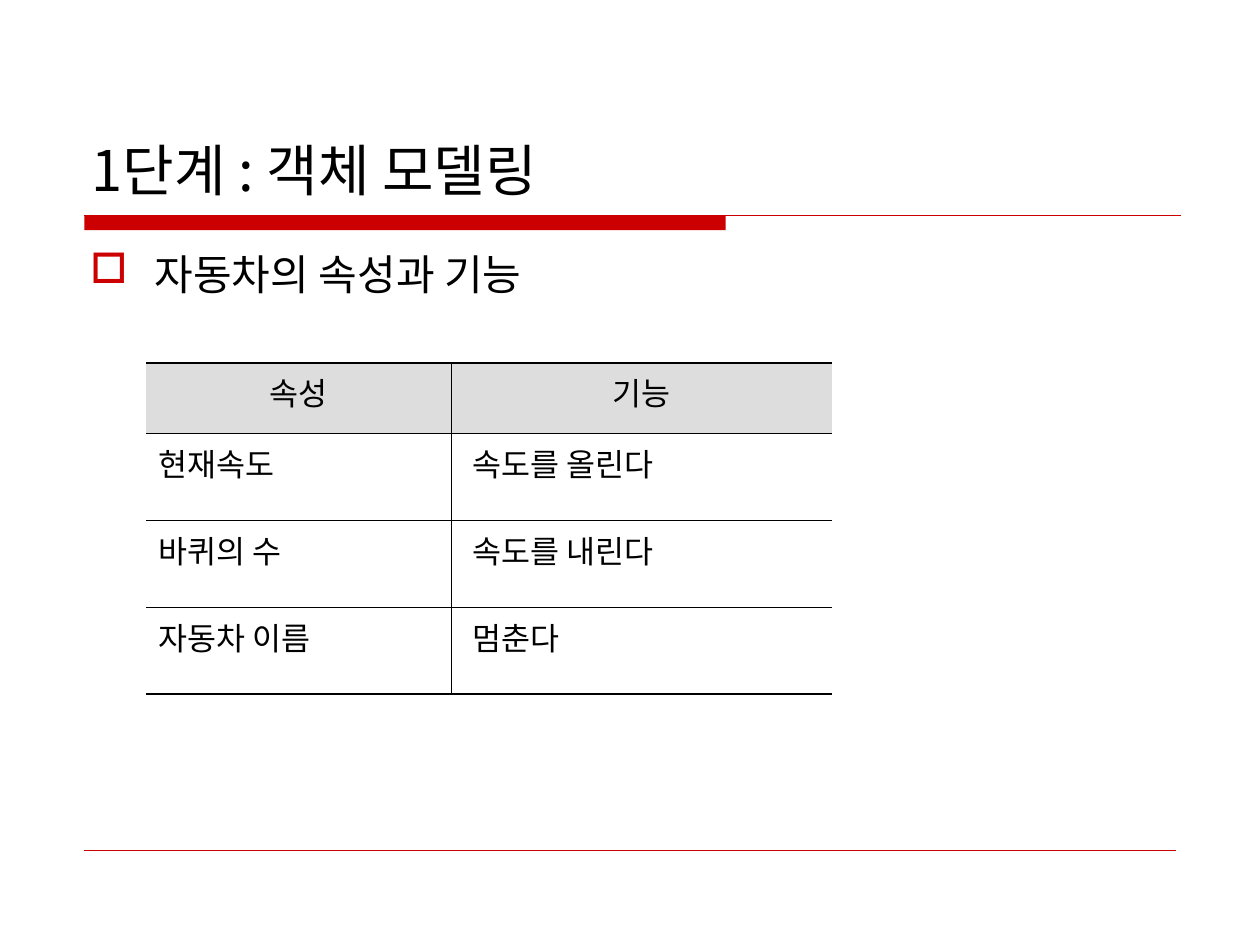
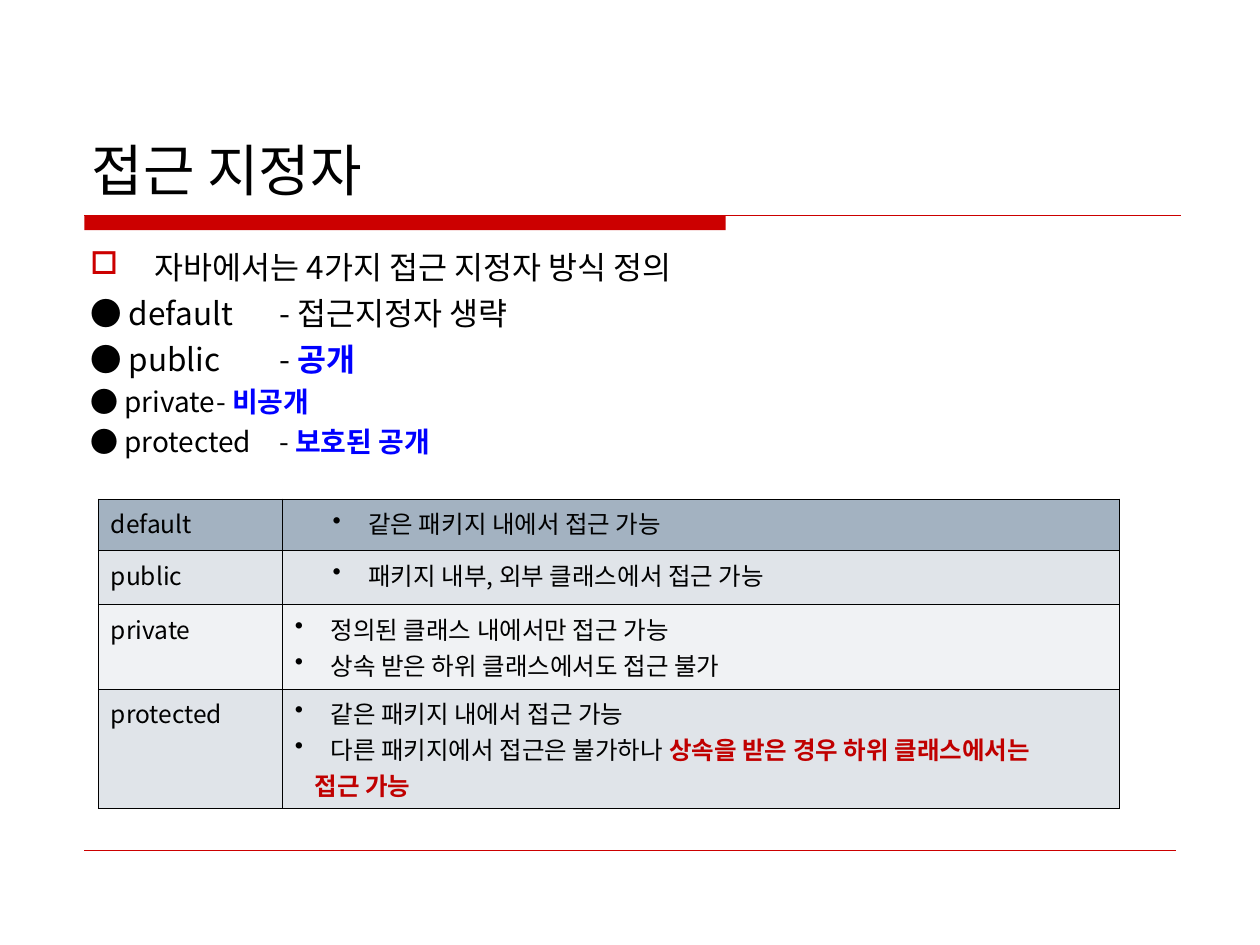
from dataclasses import dataclass
from lxml.etree import SubElement
from pptx import Presentation
from pptx.dml.color import RGBColor
from pptx.enum.shapes import MSO_CONNECTOR, MSO_SHAPE
from pptx.enum.text import MSO_ANCHOR, PP_ALIGN
from pptx.oxml import parse_xml
from pptx.oxml.ns import nsdecls, qn
from pptx.util import Cm, Pt


# Colours, type sizes and line widths
@dataclass(frozen=True)
class Theme:
    font: str = "Noto Sans CJK KR"
    ink: str = "000000"
    red: str = "CC0000"
    blue: str = "0000FF"
    warn: str = "C00000"
    head: str = "DDDDDD"
    steel: str = "A3B2C1"
    mist: str = "E0E4E9"
    pale: str = "F0F2F4"
    title: int = 32
    lead: int = 24
    body: int = 18
    small: int = 16
    cell: int = 14
    thin: float = 0.45
    thick: float = 1.08


# One paragraph: plain text, then bold text in the accent colour
@dataclass
class Para:
    text: str
    size: int
    bold: str = ""
    tint: str = ""
    mark: str = ""
    tone: str = ""
    left: float = 0
    hang: float = 0
    tab: float = 0
    space: float = 0
    align: PP_ALIGN = PP_ALIGN.LEFT


class Deck:
    def __init__(self, theme):
        self.theme = theme
        self.file = Presentation()
        self.file.slide_width, self.file.slide_height = Cm(25.4), Cm(19.05)
        self.slide = None

    # A slide with its title, red band and foot line
    def page(self, title):
        look = self.theme
        self.slide = self.file.slides.add_slide(self.file.slide_layouts[6])
        self.band(1.7, 4.34, 12.93, 0.3)
        self.line(1.7, 23.8, 4.34, 0.75)
        self.line(1.7, 23.7, 17.15, 0.25)
        self.text((1.6, 0.84, 22.22, 3.38), [Para(title, look.title)],
                  MSO_ANCHOR.BOTTOM)

    def band(self, x, y, wide, high):
        shape = self.slide.shapes.add_shape(
            MSO_SHAPE.RECTANGLE, Cm(x), Cm(y), Cm(wide), Cm(high))
        shape.shadow.inherit = False
        shape.fill.solid()
        shape.fill.fore_color.rgb = RGBColor.from_string(self.theme.red)
        shape.line.fill.background()

    def line(self, start, end, y, width):
        rule = self.slide.shapes.add_connector(
            MSO_CONNECTOR.STRAIGHT, Cm(start), Cm(y), Cm(end), Cm(y))
        rule.line.color.rgb = RGBColor.from_string(self.theme.red)
        rule.line.width = Pt(width)
        SubElement(rule._element.spPr, qn("a:effectLst"))

    def text(self, place, paras, anchor=MSO_ANCHOR.TOP):
        box = self.slide.shapes.add_textbox(*map(Cm, place))
        box.text_frame.word_wrap = True
        box.text_frame.vertical_anchor = anchor
        self.fill(box.text_frame, paras)

    def fill(self, frame, paras):
        for i, para in enumerate(paras):
            target = frame.add_paragraph() if i else frame.paragraphs[0]
            self.style(target, para)
            if i and para.space:
                target.space_before = Pt(para.space)

    def style(self, target, para):
        # Indent, bullet and tab stop come before the font
        props = target._p.get_or_add_pPr()
        props.set("marL", str(Cm(para.left)))
        props.set("indent", str(Cm(-para.hang)))
        if para.mark:
            tone = SubElement(props, qn("a:buClr"))
            SubElement(tone, qn("a:srgbClr"), val=para.tone)
            SubElement(props, qn("a:buChar"), char=para.mark)
        if para.tab:
            stops = SubElement(props, qn("a:tabLst"))
            SubElement(stops, qn("a:tab"), pos=str(Cm(para.tab)), algn="l")
        target.alignment = para.align
        font = target.font
        font.size = Pt(para.size)
        font.name = self.theme.font
        font.color.rgb = RGBColor.from_string(self.theme.ink)
        SubElement(props.find(qn("a:defRPr")), qn("a:ea"),
                   typeface=self.theme.font)
        if para.text:
            target.add_run().text = para.text
        if para.bold:
            run = target.add_run()
            run.text = para.bold
            run.font.bold = True
            run.font.color.rgb = RGBColor.from_string(para.tint)

    # Side is the width of the outer left and right edges, end of top and bottom
    def table(self, x, y, cols, rows, cells, fills, side, end):
        grid = self.slide.shapes.add_table(
            len(rows), len(cols), Cm(x), Cm(y), Cm(sum(cols)), Cm(sum(rows))).table
        grid.first_row = grid.horz_banding = False
        for col, wide in zip(grid.columns, cols):
            col.width = Cm(wide)
        for row, high in zip(grid.rows, rows):
            row.height = Cm(high)
        thin = self.theme.thin
        for r, line in enumerate(cells):
            for c, paras in enumerate(line):
                cell = grid.cell(r, c)
                self.fill(cell.text_frame, paras)
                if fills[r]:
                    cell.fill.solid()
                    cell.fill.fore_color.rgb = RGBColor.from_string(fills[r])
                else:
                    cell.fill.background()
                self.edge(cell, {
                    "L": thin if c else side,
                    "R": thin if c < len(cols) - 1 else side,
                    "T": thin if r else end,
                    "B": thin if r < len(rows) - 1 else end})

    def edge(self, cell, widths):
        props = cell._tc.get_or_add_tcPr()
        for i, (key, width) in enumerate(widths.items()):
            paint = (f'<a:solidFill><a:srgbClr val="{self.theme.ink}"/></a:solidFill>'
                     if width else "<a:noFill/>")
            props.insert(i, parse_xml(
                f'<a:ln{key} {nsdecls("a")} w="{Pt(width)}">{paint}</a:ln{key}>'))


# Slide 1: properties and functions of a car
def model(deck):
    look = deck.theme
    deck.page("1단계 : 객체 모델링")
    deck.text((1.57, 4.88, 10.9, 11.86), [
        Para("자동차의 속성과 기능", look.lead, mark="□", tone=look.red,
             left=1.3, hang=1.3)])
    pairs = [("현재속도", "속도를 올린다"), ("바퀴의 수", "속도를 내린다"),
             ("자동차 이름", "멈춘다")]
    cells = [[[Para(name, look.body, align=PP_ALIGN.CENTER)]
              for name in ("속성", "기능")]]
    cells += [[[Para(trait, look.body)], [Para(act, look.body, left=0.18)]]
              for trait, act in pairs]
    deck.table(2.95, 7.32, [6.15, 7.67], [1.42] + [1.75] * 3, cells,
               [look.head] + [None] * 3, side=0, end=look.thick)


# Slide 2: the four access modifiers
def access(deck):
    look = deck.theme
    deck.page("접근 지정자")
    kinds = [("default", "접근지정자 생략", "", look.body, 3.72),
             ("public", "", "공개", look.body, 3.63),
             ("private", "", "비공개", look.small, 3.65),
             ("protected", "", "보호된 공개", look.small, 3.87)]
    paras = [Para("자바에서는 4가지 접근 지정자 방식 정의", look.body, mark="□",
                  tone=look.red, left=1.3, hang=1.3)]
    paras += [Para(f"● {kind}\t- {plain}", size, bold, look.blue, tab=tab,
                   space=size / 4)
              for kind, plain, bold, size, tab in kinds]
    deck.text((1.57, 4.88, 22.22, 11.86), paras)

    def item(text, left=0.72, bold=""):
        return Para(text, look.cell, bold, look.warn, "•", look.ink, left, 0.72)

    rules = [
        [item("같은 패키지 내에서 접근 가능", 1.48)],
        [item("패키지 내부, 외부 클래스에서 접근 가능", 1.48)],
        [item("정의된 클래스 내에서만 접근 가능"),
         item("상속 받은 하위 클래스에서도 접근 불가")],
        [item("같은 패키지 내에서 접근 가능"),
         item("다른 패키지에서 접근은 불가하나 ",
              bold="상속을 받은 경우 하위 클래스에서는"),
         Para("", look.cell, "접근 가능", look.warn, left=0.4)]]
    cells = [[[Para(kind[0], look.cell)], rule]
             for kind, rule in zip(kinds, rules)]
    deck.table(1.98, 10.06, [3.71, 16.87], [1.04, 1.09, 1.7, 2.41], cells,
               [look.steel, look.mist, look.pale, look.mist],
               side=look.thin, end=look.thin)


def main():
    deck = Deck(Theme())
    model(deck)
    access(deck)
    deck.file.save("out.pptx")


if __name__ == "__main__":
    main()
